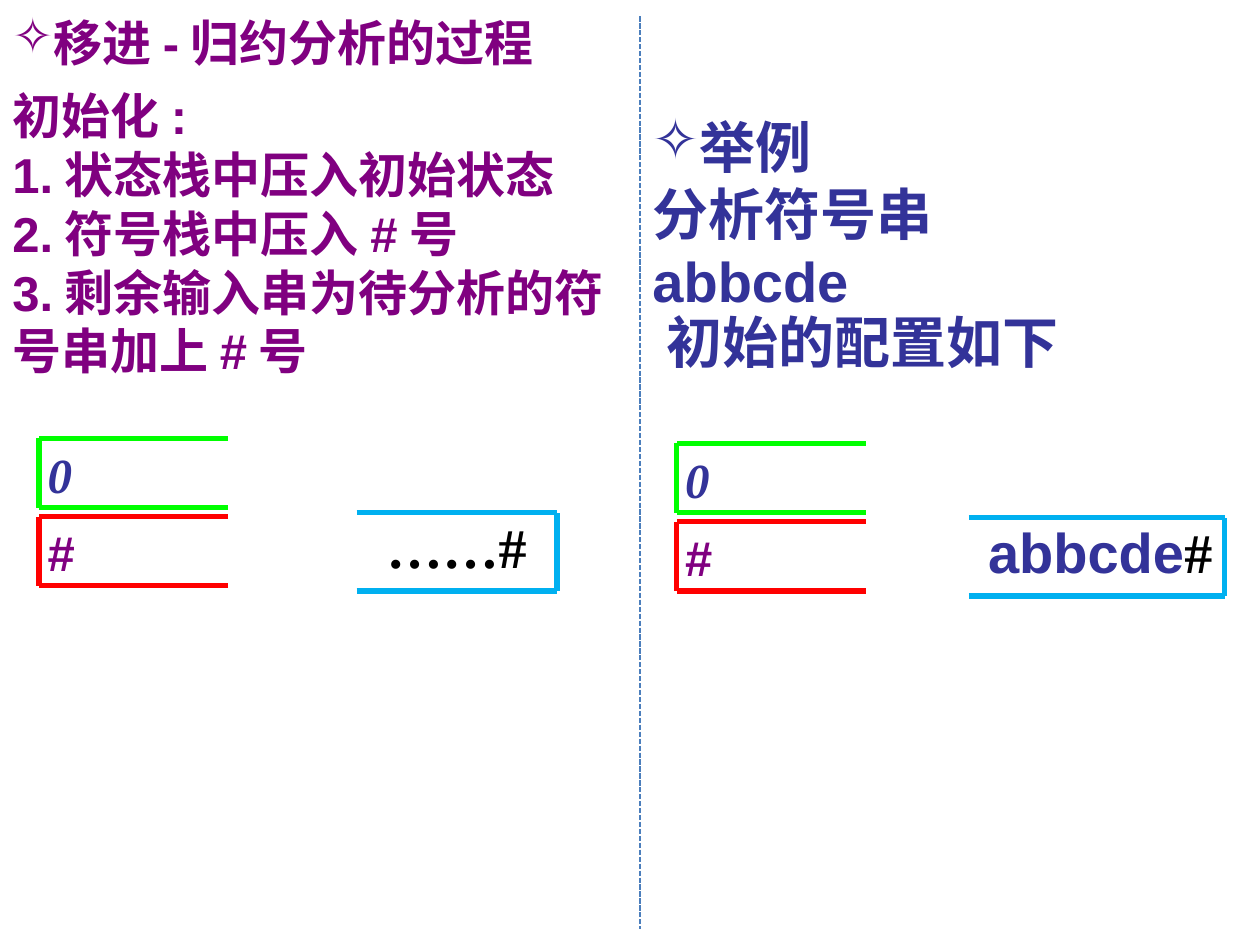
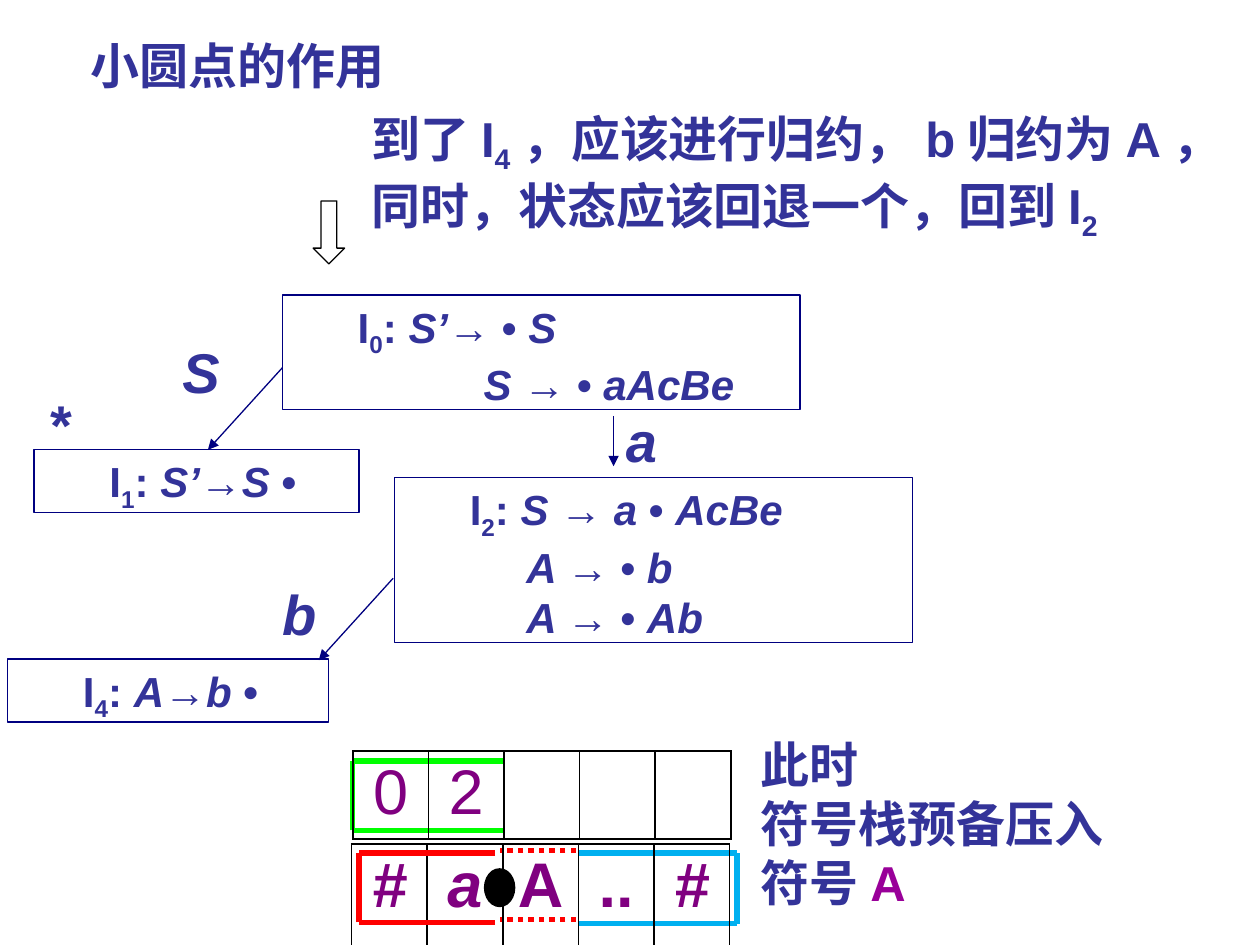
from dataclasses import dataclass

from lxml import etree
from pptx import Presentation
from pptx.dml.color import RGBColor
from pptx.enum.dml import MSO_LINE
from pptx.enum.shapes import MSO_CONNECTOR, MSO_SHAPE as Shape
from pptx.enum.text import MSO_ANCHOR, PP_ALIGN as Align
from pptx.oxml.ns import qn
from pptx.util import Inches, Pt


@dataclass(frozen=True)
class Theme:
    white: str = "FFFFFF"
    black: str = "000000"
    indigo: str = "333399"
    purple: str = "800080"
    violet: str = "990099"
    navy: str = "000080"
    divider: str = "4B7EBC"
    state_stack: str = "00FF00"
    symbol_stack: str = "FF0000"
    input: str = "00B0F0"
    sans: str = "Arial"
    serif: str = "Times New Roman"
    item: int = 24
    body: int = 28
    large: int = 32
    cell: int = 36
    thin: float = 0.75
    thick: float = 3


THEME = Theme()


def sub(text):
    return text, {"subscript": True}


def italic(text):
    return text, {"italic": True}


def style_font(font, size=None, color=None, name=None, bold=None, italic=None):
    if size:
        font.size = Pt(size)
    if color:
        font.color.rgb = RGBColor.from_string(color)
    if name:
        font.name = name
    if bold is not None:
        font.bold = bold
    if italic is not None:
        font.italic = italic


class SlideBuilder:
    def __init__(self, presentation, theme):
        self.presentation = presentation
        self.theme = theme
        self.slide = None

    def new_slide(self):
        self.slide = self.presentation.slides.add_slide(self.presentation.slide_layouts[6])

    def paragraph(self, paragraph, runs, indent=0, bullet=None, align=Align.LEFT, **font):
        """Fill a paragraph from strings and (text, overrides) pairs."""
        properties = paragraph._p.get_or_add_pPr()
        properties.set("marL", str(Inches(indent)))
        properties.set("indent", "0")
        if bullet:
            etree.SubElement(properties, qn("a:buChar")).set("char", bullet)
        paragraph.alignment = align
        defaults = {"size": self.theme.body, "color": self.theme.indigo,
                    "name": self.theme.sans, "bold": True}
        style_font(paragraph.font, **{**defaults, **font})
        for item in [runs] if isinstance(runs, str) else runs:
            text, overrides = (item, {}) if isinstance(item, str) else item
            run = paragraph.add_run()
            run.text = text
            overrides = dict(overrides)
            if overrides.pop("subscript", False):
                run._r.get_or_add_rPr().set("baseline", "-25000")
            if overrides:
                style_font(run.font, **overrides)

    def text(self, box, *paragraphs, indents=None, bullet=None, fill=None, line=None, **style):
        """Add a text block; the bullet marks its first paragraph."""
        left, top, width, height = map(Inches, box)
        if fill:
            shape = self.shape(Shape.RECTANGLE, box, fill, line)
        else:
            shape = self.slide.shapes.add_textbox(left, top, width, height)
        frame = shape.text_frame
        frame.word_wrap = True
        frame.vertical_anchor = MSO_ANCHOR.TOP
        indents = indents or [0] * len(paragraphs)
        for index, (runs, indent) in enumerate(zip(paragraphs, indents)):
            paragraph = frame.add_paragraph() if index else frame.paragraphs[0]
            self.paragraph(paragraph, runs, indent, None if index else bullet, **style)

    def shape(self, kind, box, fill, line=None, rotation=0):
        shape = self.slide.shapes.add_shape(kind, *map(Inches, box))
        shape.shadow.inherit = False
        shape.rotation = rotation
        shape.fill.solid()
        shape.fill.fore_color.rgb = RGBColor.from_string(fill)
        if line:
            shape.line.color.rgb = RGBColor.from_string(line)
            shape.line.width = Pt(self.theme.thin)
        else:
            shape.line.fill.background()
        return shape

    def line(self, start, end, color, width, dash=None, arrow=False):
        connector = self.slide.shapes.add_connector(
            MSO_CONNECTOR.STRAIGHT, *map(Inches, (*start, *end)))
        connector.line.color.rgb = RGBColor.from_string(color)
        connector.line.width = Pt(width)
        if dash:
            connector.line.dash_style = dash
        properties = connector._element.spPr
        if arrow:
            tail = etree.SubElement(properties.find(qn("a:ln")), qn("a:tailEnd"))
            tail.set("type", "triangle")
        etree.SubElement(properties, qn("a:effectLst"))

    def arrow(self, start, end):
        self.line(start, end, self.theme.navy, self.theme.thin, arrow=True)

    def rails(self, left, right, top, bottom, color, dash=None):
        for y in (bottom, top):
            self.line((right, y), (left, y), color, self.theme.thick, dash)

    def bracket(self, closed_x, open_x, top, bottom, color):
        """Two rails joined by an upright at the closed end."""
        self.rails(closed_x, open_x, top, bottom, color)
        self.line((closed_x, bottom), (closed_x, top), color, self.theme.thick)

    def state(self, box, *paragraphs, indents=(0.5,)):
        self.text(box, *paragraphs, indents=indents, fill=self.theme.white,
                  line=self.theme.navy, size=self.theme.item)

    def table(self, left, top, cells, row_height, column_width=0.6, bold=True):
        frame = self.slide.shapes.add_table(
            1, len(cells), Inches(left), Inches(top),
            Inches(column_width * len(cells)), Inches(row_height))
        table = frame.table
        table.first_row = table.horz_banding = False
        for cell, runs in zip(table.rows[0].cells, cells):
            self.borders(cell)
            cell.fill.background()
            if runs:
                self.paragraph(cell.text_frame.paragraphs[0], [runs], align=Align.CENTER,
                               size=self.theme.cell, color=self.theme.purple, bold=bold)

    def borders(self, cell):
        properties = cell._tc.get_or_add_tcPr()
        for side in ("lnL", "lnR", "lnT", "lnB"):
            border = etree.SubElement(properties, qn(f"a:{side}"))
            border.set("w", str(Pt(1)))
            fill = etree.SubElement(border, qn("a:solidFill"))
            etree.SubElement(fill, qn("a:srgbClr")).set("val", self.theme.black)

    def configuration(self, left, top, input_span, input_box, input_runs, input_style):
        """State stack over symbol stack, with the remaining input beside them."""
        theme = self.theme
        stacks = [("0", 0, theme.state_stack,
                   {"color": theme.indigo, "name": theme.serif, "italic": True}),
                  ("#", 0.62, theme.symbol_stack, {"color": theme.purple})]
        for text, offset, color, style in stacks:
            y = top + offset
            self.bracket(left, left + 1.5, y, y + 0.55, color)
            self.text((left - 0.03, y, 1.73, 0.57), text, **style)
        open_x, closed_x = input_span
        self.bracket(closed_x, open_x, top + 0.59, top + 1.21, theme.input)
        text_left, text_width = input_box
        self.text((text_left, top + 0.54, text_width, 0.64), input_runs,
                  size=theme.large, **input_style)


def build_process_slide(builder):
    theme = builder.theme
    builder.new_slide()

    # Procedure on the left
    builder.text((0, 0.05, 4.76, 0.57), "移进-归约分析的过程", bullet="✧",
                 fill=theme.white, color=theme.purple)
    builder.text((0, 0.63, 5, 2.46), "初始化:", "1.状态栈中压入初始状态",
                 "2.符号栈中压入#号", "3.剩余输入串为待分析的符号串加上#号",
                 color=theme.purple)
    builder.configuration(0.31, 3.48, (2.83, 4.42), (2.83, 1.59), "……#",
                          {"align": Align.CENTER, "name": theme.serif, "color": theme.black})

    builder.line((5.08, 0.13), (5.08, 7.37), theme.divider, 1, MSO_LINE.SQUARE_DOT)

    # Example on the right
    builder.text((5.08, 0.84, 3.4, 1.72), "举例", "分析符号串abbcde", bullet="✧",
                 size=theme.large)
    builder.text((5.19, 2.39, 3.36, 0.64), "初始的配置如下", size=theme.large)
    end_mark = ("#", {"name": theme.serif, "color": theme.black})
    builder.configuration(5.37, 3.52, (7.69, 9.72), (7.37, 2.35), ["abbcde", end_mark],
                          {"align": Align.RIGHT})


def build_dot_slide(builder):
    theme = builder.theme
    builder.new_slide()

    # Title and explanation
    builder.text((0.62, 0.23, 9.5, 0.57), "小圆点的作用")
    builder.text((2.85, 0.81, 7.16, 1.04),
                 ["到了I", sub("4"), "，应该进行归约，b归约为A，同时，状态应该回退一个，回到I",
                  sub("2")], fill=theme.white)
    builder.shape(Shape.RIGHT_ARROW, (2.36, 1.72, 0.5, 0.25), theme.white, theme.black,
                  rotation=90)

    # Item sets
    builder.state((2.24, 2.34, 4.11, 0.91),
                  ["I", sub("0"), ": ", italic("S’→"), " • ", italic("S")],
                  [italic("S →"), " • ", italic("aAcBe")], indents=(0.5, 1.5))
    builder.state((0.27, 3.57, 2.58, 0.5), ["I", sub("1"), ": ", italic("S’→S"), " •"])
    builder.state((3.13, 3.79, 4.11, 1.31),
                  ["I", sub("2"), ": ", italic("S → a"), " • ", italic("AcBe")],
                  [italic("A → "), "• ", italic("b")],
                  [italic("A → "), "• ", italic("Ab")], indents=(0.5, 0.95, 0.95))
    builder.state((0.06, 5.23, 2.55, 0.5), ["I", sub("4"), ": ", italic("A→b"), " •"])

    # Transitions
    builder.arrow((2.24, 2.92), (1.65, 3.57))
    builder.arrow((4.87, 3.3), (4.87, 3.7))
    builder.arrow((3.12, 4.59), (2.53, 5.24))
    for label, left, top in (("S", 1.35, 2.63), ("a", 4.87, 3.18), ("b", 2.14, 4.55)):
        builder.text((left, top, 0.5, 0.64), label, size=theme.large, italic=True)
    builder.text((0.3, 3.04, 0.47, 0.64), "*", size=theme.large)

    # Stacks and remaining input
    builder.bracket(5.85, 4.59, 6.77, 7.33, theme.input)
    builder.table(2.79, 6.7, [italic("#"), italic("a"), "A", "...", italic("#")], 0.43)
    builder.bracket(2.85, 3.93, 6.77, 7.32, theme.symbol_stack)
    builder.bracket(2.8, 4.01, 6.04, 6.59, theme.state_stack)
    builder.table(2.8, 5.96, ["0", "2", "", "", ""], 0.44, bold=False)
    builder.rails(3.97, 4.57, 6.75, 7.3, theme.symbol_stack, MSO_LINE.ROUND_DOT)
    builder.shape(Shape.OVAL, (3.84, 6.89, 0.25, 0.31), theme.black)
    builder.text((5.94, 5.78, 3.79, 1.51), "此时", "符号栈预备压入",
                 ["符号", ("A", {"color": theme.violet})], fill=theme.white)


def main():
    presentation = Presentation()
    presentation.slide_width = Inches(10)
    presentation.slide_height = Inches(7.5)
    builder = SlideBuilder(presentation, THEME)
    build_process_slide(builder)
    build_dot_slide(builder)
    presentation.save("out.pptx")


if __name__ == "__main__":
    main()
